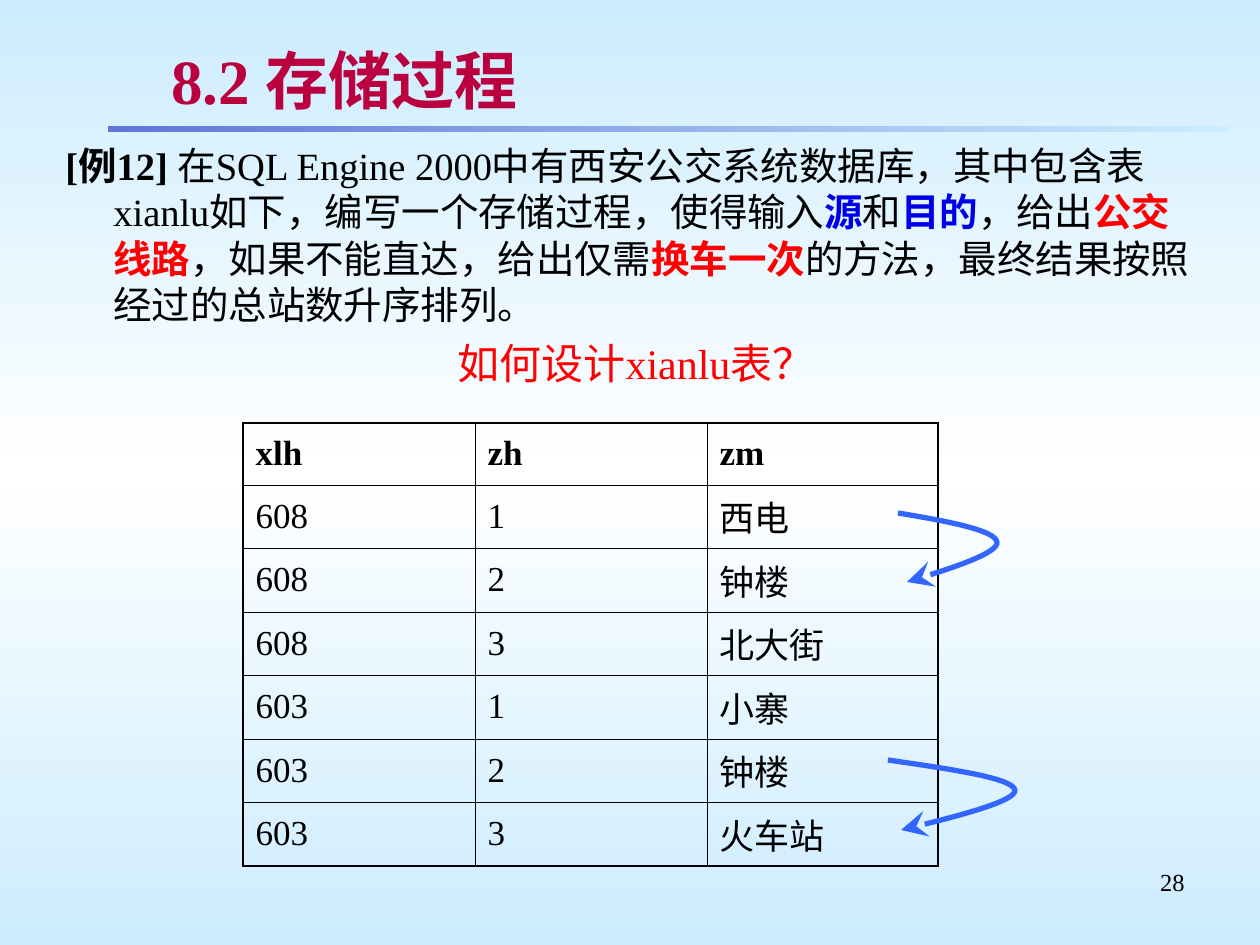
from copy import deepcopy

from lxml import etree
from pptx import Presentation
from pptx.dml.color import RGBColor
from pptx.enum.shapes import MSO_SHAPE
from pptx.enum.text import MSO_ANCHOR, PP_ALIGN
from pptx.oxml import parse_xml
from pptx.oxml.ns import nsdecls, qn
from pptx.util import Emu, Pt

RECTANGLE = MSO_SHAPE.RECTANGLE
MIDDLE = MSO_ANCHOR.MIDDLE
CENTER, RIGHT = PP_ALIGN.CENTER, PP_ALIGN.RIGHT

EMU_PER_PX = 914400 / 126
COLORS = {
    "sky": "CCECFF", "white": "FFFFFF", "rule": "5F76D7", "title": "BA003E",
    "black": "000000", "blue": "0000E8", "red": "FF0000", "arrow": "3366FF",
}


def px(length):
    return Emu(round(length * EMU_PER_PX))


def add_run(paragraph, text, size, color="black", bold=False):
    run = paragraph.add_run()
    run.text = text
    font_format = {"name": "Times New Roman", "size": Pt(size), "bold": bold}
    for attribute, value in font_format.items():
        setattr(run.font, attribute, value)
    run.font.color.rgb = RGBColor.from_string(COLORS[color])
    return run


prs = Presentation()
prs.slide_width, prs.slide_height = px(1260), px(945)
slide = prs.slides.add_slide(prs.slide_layouts[6])
shapes = slide.shapes

# Background: sky, white, sky from top to bottom
sky = slide.background.fill
sky.gradient()
sky.gradient_angle = 90
first_stop = sky.gradient_stops[0]._gs
first_stop.addnext(deepcopy(first_stop))
for stop, position, color in zip(sky.gradient_stops, (0, 0.5, 1), ("sky", "white", "sky")):
    stop.position = position
    stop.color.rgb = RGBColor.from_string(COLORS[color])

# Rule under the title
rule = shapes.add_shape(RECTANGLE, px(108), px(126), px(1120), px(6))
rule.shadow.inherit = False
rule.line.fill.background()
rule.fill.gradient()
rule.fill.gradient_angle = 0
for stop, position, color in zip(rule.fill.gradient_stops, (0, 1), ("rule", "sky")):
    stop.position = position
    stop.color.rgb = RGBColor.from_string(COLORS[color])

# Page number
page_number = shapes.add_textbox(px(903), px(861), px(294), px(65)).text_frame
page_number.word_wrap = True
page_number.paragraphs[0].alignment = RIGHT
add_run(page_number.paragraphs[0], "28", 14)

# Title with a text shadow
title = shapes.add_textbox(px(159), px(37), px(1038), px(84)).text_frame
title.word_wrap = True
title.vertical_anchor = MIDDLE
title_run = add_run(title.paragraphs[0], "8.2 存储过程", 36, "title", True)
title_run.font._element.find(qn("a:solidFill")).addnext(parse_xml(
    f'<a:effectLst {nsdecls("a")}><a:outerShdw dist="25400" dir="2700000">'
    '<a:srgbClr val="C0C0C0"/></a:outerShdw></a:effectLst>'))

# Exercise and question
body = shapes.add_textbox(px(53), px(136), px(1166), px(756)).text_frame
body.word_wrap = True
exercise, question = body.paragraphs[0], body.add_paragraph()
for paragraph in (exercise, question):
    properties = paragraph._p.get_or_add_pPr()
    properties.set("marL", str(px(48)))
    properties.set("indent", str(-px(48)))
for text, color, bold in [
    ("[例12] ", "black", True),
    ("在SQL Engine 2000中有西安公交系统数据库，其中包含表xianlu如下，"
     "编写一个存储过程，使得输入", "black", False),
    ("源", "blue", True),
    ("和", "black", False),
    ("目的", "blue", True),
    ("，给出", "black", False),
    ("公交线路", "red", True),
    ("，如果不能直达，给出仅需", "black", False),
    ("换车一次", "red", True),
    ("的方法，最终结果按照经过的总站数升序排列。", "black", False),
]:
    add_run(exercise, text, 22, color, bold)
question.alignment = CENTER
question.space_before = Pt(6)
add_run(question, "如何设计xianlu表？", 24, "red")

# Route table
stops = [
    ("xlh", "zh", "zm"),
    ("608", "1", "西电"),
    ("608", "2", "钟楼"),
    ("608", "3", "北大街"),
    ("603", "1", "小寨"),
    ("603", "2", "钟楼"),
    ("603", "3", "火车站"),
]
row_heights = [62] + [63, 64] * 3
last_row, last_column = len(stops) - 1, len(stops[0]) - 1
routes = shapes.add_table(len(stops), len(stops[0]), px(243), px(423),
                          px(695), px(sum(row_heights))).table
routes.first_row = routes.horz_banding = False
for column, width in zip(routes.columns, (232, 232, 231)):
    column.width = px(width)
for r, (values, height) in enumerate(zip(stops, row_heights)):
    routes.rows[r].height = px(height)
    for c, value in enumerate(values):
        cell = routes.cell(r, c)
        cell.vertical_anchor = MIDDLE
        add_run(cell.text_frame.paragraphs[0], value, 20, bold=r == 0)
        outer_sides = {"L": c == 0, "R": c == last_column, "T": r == 0, "B": r == last_row}
        for side, is_outer in outer_sides.items():
            width = Pt(1.08 if is_outer else 0.45)
            cell._tc.get_or_add_tcPr().append(parse_xml(
                f'<a:ln{side} {nsdecls("a")} w="{width}"><a:solidFill>'
                f'<a:srgbClr val="{COLORS["black"]}"/></a:solidFill></a:ln{side}>'))
        cell.fill.background()

# Curved arrows from one stop to the next, each made of two Bezier segments
STEPS = 16
for curve in [
    [(898, 513), (946, 521), (995, 530), (997, 542), (999, 553), (953, 568), (907, 582)],
    [(888, 760), (950, 769), (1013, 778), (1015, 790), (1017, 801), (959, 816), (901, 830)],
]:
    points = []
    for start in (0, 3):
        for step in range(1, STEPS + 1):
            t = step / STEPS
            weights = ((1 - t) ** 3, 3 * t * (1 - t) ** 2, 3 * t ** 2 * (1 - t), t ** 3)
            controls = curve[start:start + 4]
            points.append(tuple(px(sum(w * point[axis] for w, point in zip(weights, controls)))
                                for axis in (0, 1)))
    builder = shapes.build_freeform(px(curve[0][0]), px(curve[0][1]))
    builder.add_line_segments(points, close=False)
    arrow = builder.convert_to_shape()
    arrow.shadow.inherit = False
    arrow.fill.background()
    arrow.line.color.rgb = RGBColor.from_string(COLORS["arrow"])
    arrow.line.width = Pt(3)
    etree.SubElement(arrow.line._get_or_add_ln(), qn("a:tailEnd"),
                     type="stealth", w="lg", len="lg")

prs.save("out.pptx")
